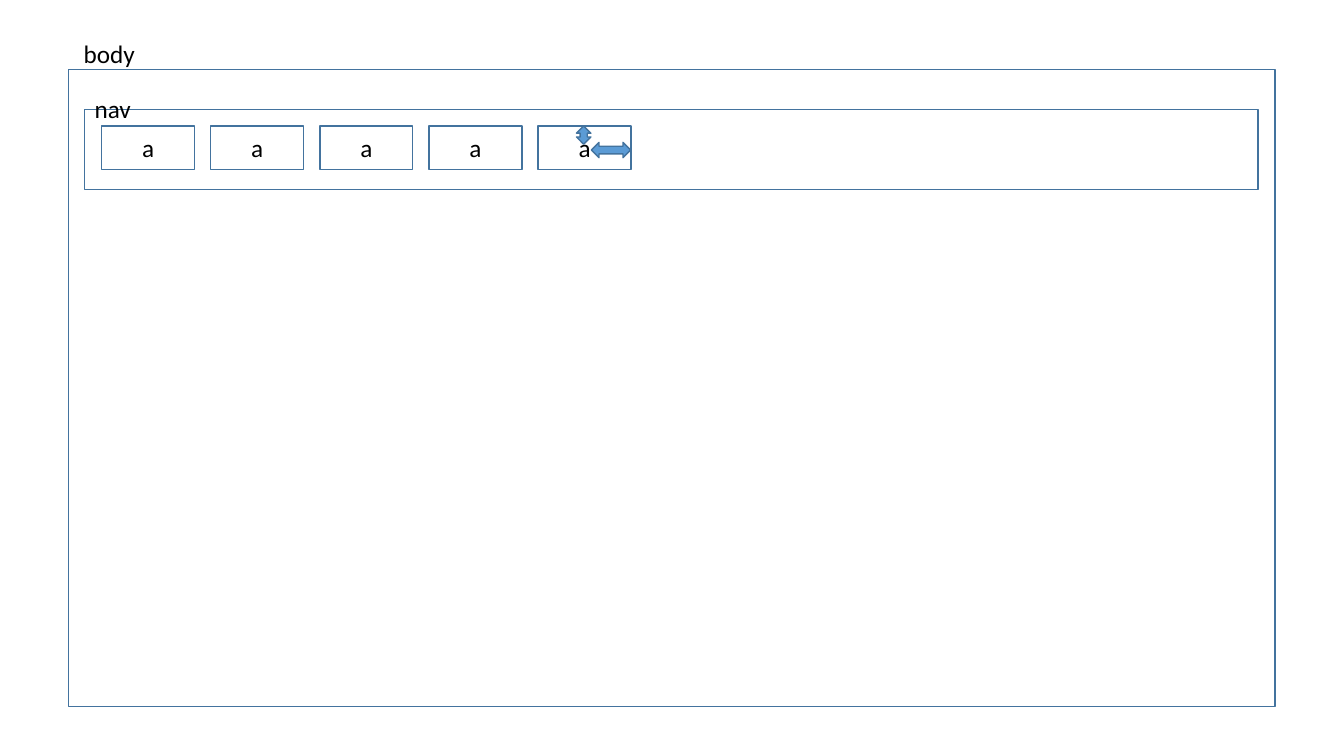
from pptx import Presentation
from pptx.dml.color import RGBColor
from pptx.enum import shapes, text
from pptx.util import Pt

OUTLINE = "43739E"
ACCENT = "5B9BD5"
INK = "000000"
LINK_COUNT = 5
LINK_LEFT, LINK_TOP, LINK_WIDTH, LINK_HEIGHT = 72.6, 90, 66.3, 31
LINK_PITCH = 77.95


def color(hex_code):
    return RGBColor.from_string(hex_code)


def add_run(paragraph, wording):
    run = paragraph.add_run()
    run.text = wording
    run.font.name = "Calibri"
    run.font.size = Pt(18)
    run.font.color.rgb = color(INK)


def add_outlined(slide, kind, left, top, width, height, fill=None):
    outlined = slide.shapes.add_shape(kind, Pt(left), Pt(top), Pt(width), Pt(height))
    outlined.shadow.inherit = False
    if fill:
        outlined.fill.solid()
        outlined.fill.fore_color.rgb = color(fill)
    else:
        outlined.fill.background()
    outlined.line.color.rgb = color(OUTLINE)
    outlined.line.width = Pt(1)
    return outlined


def add_label(slide, wording, left, top):
    label = slide.shapes.add_textbox(Pt(left), Pt(top), Pt(66.3), Pt(29))
    frame = label.text_frame
    frame.word_wrap = True
    frame.auto_size = text.MSO_AUTO_SIZE.SHAPE_TO_FIT_TEXT
    add_run(frame.paragraphs[0], wording)


def add_link(slide, wording, left):
    link = add_outlined(slide, shapes.MSO_SHAPE.RECTANGLE,
                        left, LINK_TOP, LINK_WIDTH, LINK_HEIGHT)
    frame = link.text_frame
    frame.vertical_anchor = text.MSO_ANCHOR.MIDDLE
    paragraph = frame.paragraphs[0]
    paragraph.alignment = text.PP_ALIGN.CENTER
    add_run(paragraph, wording)


def main():
    deck = Presentation()
    deck.slide_width, deck.slide_height = Pt(960), Pt(540)
    slide = deck.slides.add_slide(deck.slide_layouts[6])

    add_outlined(slide, shapes.MSO_SHAPE.RECTANGLE, 48.8, 49.7, 862, 455)
    add_outlined(slide, shapes.MSO_SHAPE.RECTANGLE, 60.5, 78.4, 838.2, 57)
    add_label(slide, "nav", 60.5, 63.4)
    add_label(slide, "body", 52.6, 23.8)

    for index in range(LINK_COUNT):
        add_link(slide, "a", LINK_LEFT + index * LINK_PITCH)

    add_outlined(slide, shapes.MSO_SHAPE.UP_DOWN_ARROW, 411.8, 90, 10.3, 13, ACCENT)
    add_outlined(slide, shapes.MSO_SHAPE.LEFT_RIGHT_ARROW, 422.4, 101.7, 28.1, 10.9, ACCENT)

    deck.save("out.pptx")


if __name__ == "__main__":
    main()
